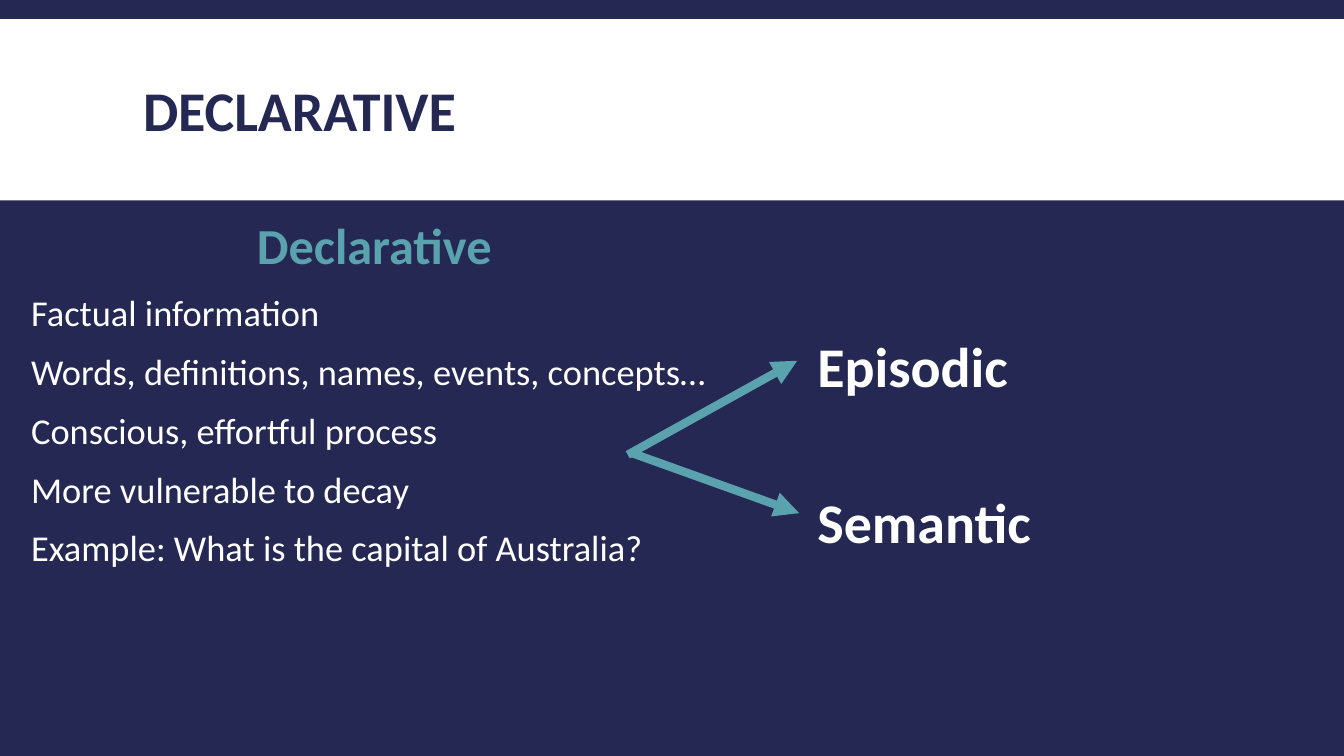
from lxml.etree import SubElement
from pptx import Presentation
from pptx.dml.color import RGBColor
from pptx.enum.shapes import MSO_CONNECTOR, MSO_SHAPE
from pptx.enum.text import MSO_ANCHOR, MSO_AUTO_SIZE, PP_ALIGN
from pptx.oxml.ns import qn
from pptx.util import Cm, Pt

NAVY, TEAL, WHITE = "242852", "5AA2AE", "FFFFFF"
FACTS = [
    "Factual information",
    "Words, definitions, names, events, concepts…",
    "Conscious, effortful process",
    "More vulnerable to decay",
    "Example: What is the capital of Australia?",
]


def paint(color_format, color):
    color_format.rgb = RGBColor.from_string(color)


def place(shape, left, top, width, height):
    shape.left, shape.top = Cm(left), Cm(top)
    shape.width, shape.height = Cm(width), Cm(height)


def style(paragraph, size, color, bold=False):
    font = paragraph.font
    font.name, font.size, font.bold = "Calibri", Pt(size), bold
    paint(font.color, color)


def add_title_band(slide, width):
    band = slide.shapes.add_shape(MSO_SHAPE.RECTANGLE, 0, Cm(0.48), width, Cm(4.57))
    band.shadow.inherit = False
    band.fill.solid()
    paint(band.fill.fore_color, WHITE)
    band.line.fill.background()
    slide.shapes.title._element.addprevious(band._element)


def fill_title(title, text):
    place(title, 3.35, 0.79, 27.18, 4.19)
    frame = title.text_frame
    frame.text = text
    frame.auto_size = MSO_AUTO_SIZE.NONE
    frame.vertical_anchor = MSO_ANCHOR.MIDDLE
    paragraph = frame.paragraphs[0]
    paragraph.alignment = PP_ALIGN.LEFT
    paragraph.line_spacing = 0.85
    style(paragraph, 40, NAVY, bold=True)


def fill_body(body, heading, facts):
    place(body, 0.53, 5.44, 17.81, 11.48)
    frame = body.text_frame
    frame.text = "\n".join([heading, *facts])
    frame.auto_size = MSO_AUTO_SIZE.NONE
    for index, paragraph in enumerate(frame.paragraphs):
        properties = paragraph._p.get_or_add_pPr()
        properties.set("marL", "0")
        properties.set("indent", "0")
        SubElement(properties, qn("a:buNone"))
        paragraph.line_spacing = 0.9
        paragraph.space_before = Pt(12 if index else 0)
        paragraph.space_after = Pt(2)
        style(paragraph, 26, WHITE)
    paragraph = frame.paragraphs[0]
    paragraph.alignment = PP_ALIGN.CENTER
    style(paragraph, 36, TEAL, bold=True)


def add_arrow(shapes, *ends):
    arrow = shapes.add_connector(MSO_CONNECTOR.STRAIGHT, *map(Cm, ends))
    arrow.line.width = Pt(6)
    paint(arrow.line.color, TEAL)
    SubElement(arrow.line._get_or_add_ln(), qn("a:tailEnd"), type="triangle")
    SubElement(arrow._element.spPr, qn("a:effectLst"))


def add_label(shapes, text, top):
    label = shapes.add_textbox(Cm(20.35), Cm(top), Cm(7.95), Cm(1.96))
    frame = label.text_frame
    frame.word_wrap = True
    frame.auto_size = MSO_AUTO_SIZE.SHAPE_TO_FIT_TEXT
    frame.text = text
    style(frame.paragraphs[0], 40, WHITE, bold=True)


def main():
    presentation = Presentation()
    presentation.slide_width, presentation.slide_height = Cm(33.87), Cm(19.05)
    slide = presentation.slides.add_slide(presentation.slide_layouts[1])
    slide.background.fill.solid()
    paint(slide.background.fill.fore_color, NAVY)

    add_title_band(slide, presentation.slide_width)
    fill_title(slide.shapes.title, "DECLARATIVE")
    fill_body(slide.placeholders[1], "Declarative", FACTS)

    branches = slide.shapes.add_group_shape().shapes
    add_arrow(branches, 15.82, 11.46, 20.09, 9.09)
    add_arrow(branches, 15.88, 11.4, 20.14, 12.93)
    add_label(branches, "Episodic", 8.23)
    add_label(branches, "Semantic", 12.17)

    presentation.save("out.pptx")


if __name__ == "__main__":
    main()
